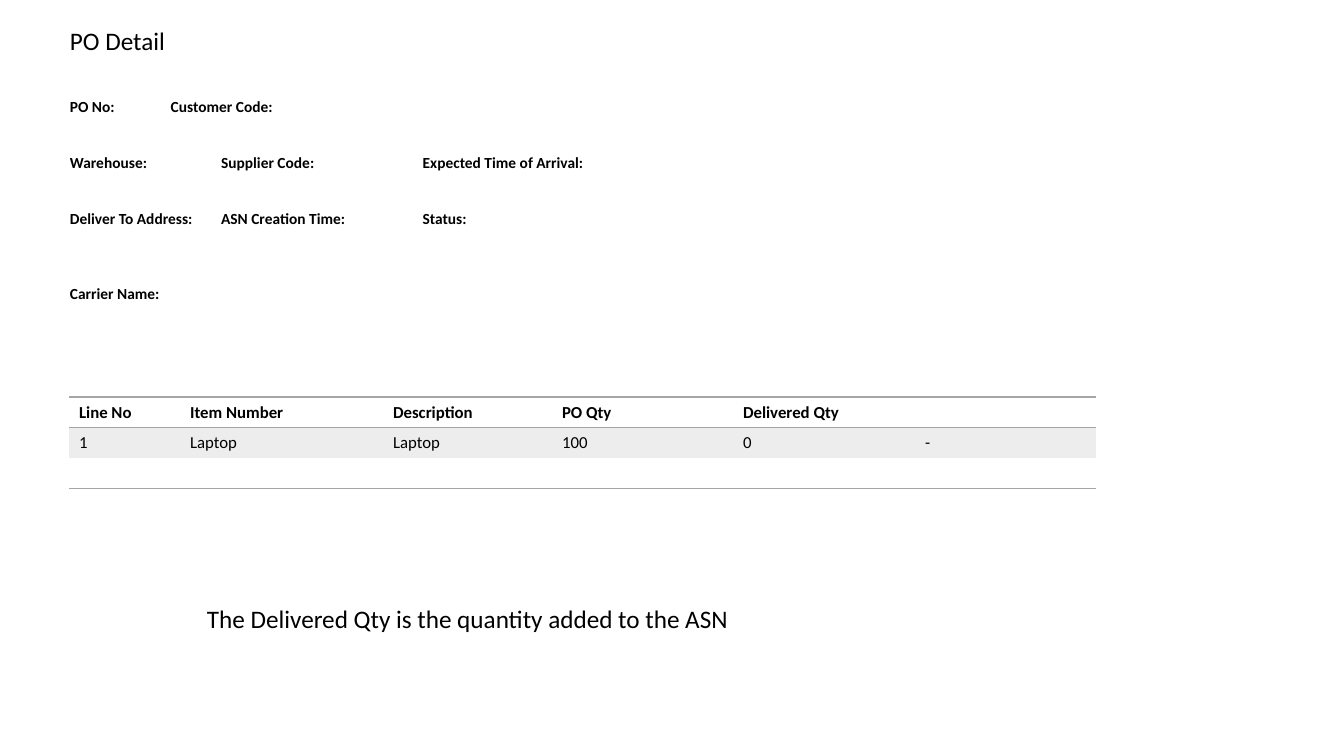
from dataclasses import dataclass

from lxml import etree
from pptx import Presentation
from pptx import util as u
from pptx.dml.color import RGBColor
from pptx.enum import text
from pptx.oxml import ns


@dataclass(frozen=True)
class Theme:
    font: str = "Calibri"
    ink: str = "000000"
    rule: str = "A5A5A5"
    band: str = "EDEDED"
    heading: int = 18
    cell: int = 12
    label: int = 11
    rule_width: int = 1


THEME = Theme()
EMU_PER_PX = u.Inches(1) / 100.8

DETAIL_LINES = [
    ("PO No:\t\tCustomer Code:", 0),
    ("Warehouse:\t\tSupplier Code:\t\t\tExpected Time of Arrival:", 27),
    ("Deliver To Address:\tASN Creation Time:\t\tStatus:", 27),
    ("Carrier Name:", 40),
]
COLUMN_WIDTHS = [111, 203, 169, 181, 182, 181]
ROW_HEIGHT = 30
ITEM_ROWS = [
    ["Line No", "Item Number", "Description", "PO Qty", "Delivered Qty", ""],
    ["1", "Laptop", "Laptop", "100", "0", "-"],
    [""] * len(COLUMN_WIDTHS),
]
HEADER_ROW, BAND_ROW = 0, 1
RULED_EDGES = {0, 1, len(ITEM_ROWS)}


def px(length):
    return u.Emu(round(length * EMU_PER_PX))


def style_paragraph(para, size, bold=False):
    para.font.name = THEME.font
    para.font.size = u.Pt(size)
    para.font.bold = bold
    para.font.color.rgb = RGBColor.from_string(THEME.ink)


def add_text(page, left, top, width, height, lines, size, bold=False, wrap=True):
    box = page.shapes.add_textbox(px(left), px(top), px(width), px(height))
    frame = box.text_frame
    frame.word_wrap = wrap
    frame.auto_size = text.MSO_AUTO_SIZE.SHAPE_TO_FIT_TEXT
    for index, (words, gap) in enumerate(lines):
        para = frame.add_paragraph() if index else frame.paragraphs[0]
        para.text = words
        para.space_before = u.Pt(gap)
        style_paragraph(para, size, bold)


def set_border(cell, side, ruled):
    properties = cell._tc.get_or_add_tcPr()
    line = etree.SubElement(properties, ns.qn(f"a:ln{side}"))
    if ruled:
        line.set("w", str(u.Pt(THEME.rule_width)))
        fill = etree.SubElement(line, ns.qn("a:solidFill"))
        etree.SubElement(fill, ns.qn("a:srgbClr"), val=THEME.rule)
    else:
        etree.SubElement(line, ns.qn("a:noFill"))


def style_cell(cell, row):
    borders = {"L": False, "R": False, "T": row in RULED_EDGES, "B": row + 1 in RULED_EDGES}
    for side, ruled in borders.items():
        set_border(cell, side, ruled)
    if row == BAND_ROW:
        cell.fill.solid()
        cell.fill.fore_color.rgb = RGBColor.from_string(THEME.band)
    else:
        cell.fill.background()


def add_item_table(page, left, top):
    frame = page.shapes.add_table(
        len(ITEM_ROWS), len(COLUMN_WIDTHS), px(left), px(top),
        px(sum(COLUMN_WIDTHS)), px(ROW_HEIGHT * len(ITEM_ROWS)))
    table = frame.table
    table.first_row = False
    table.horz_banding = False
    for column, width in zip(table.columns, COLUMN_WIDTHS):
        column.width = px(width)
    for row, values in enumerate(ITEM_ROWS):
        table.rows[row].height = px(ROW_HEIGHT)
        for column, value in enumerate(values):
            cell = table.cell(row, column)
            cell.text = value
            style_paragraph(cell.text_frame.paragraphs[0], THEME.cell, row == HEADER_ROW)
            style_cell(cell, row)


def main():
    deck = Presentation()
    deck.slide_width, deck.slide_height = px(1344), px(756)
    page = deck.slides.add_slide(deck.slide_layouts[6])
    add_item_table(page, 69, 397)
    add_text(page, 60, 20, 116, 40, [("PO Detail", 0)], THEME.heading, wrap=False)
    add_text(page, 60, 92, 1143, 234, DETAIL_LINES, THEME.label, bold=True)
    add_text(page, 197, 598, 951, 40,
             [("The Delivered Qty is the quantity added to the ASN", 0)], THEME.heading)
    deck.save("out.pptx")


if __name__ == "__main__":
    main()
